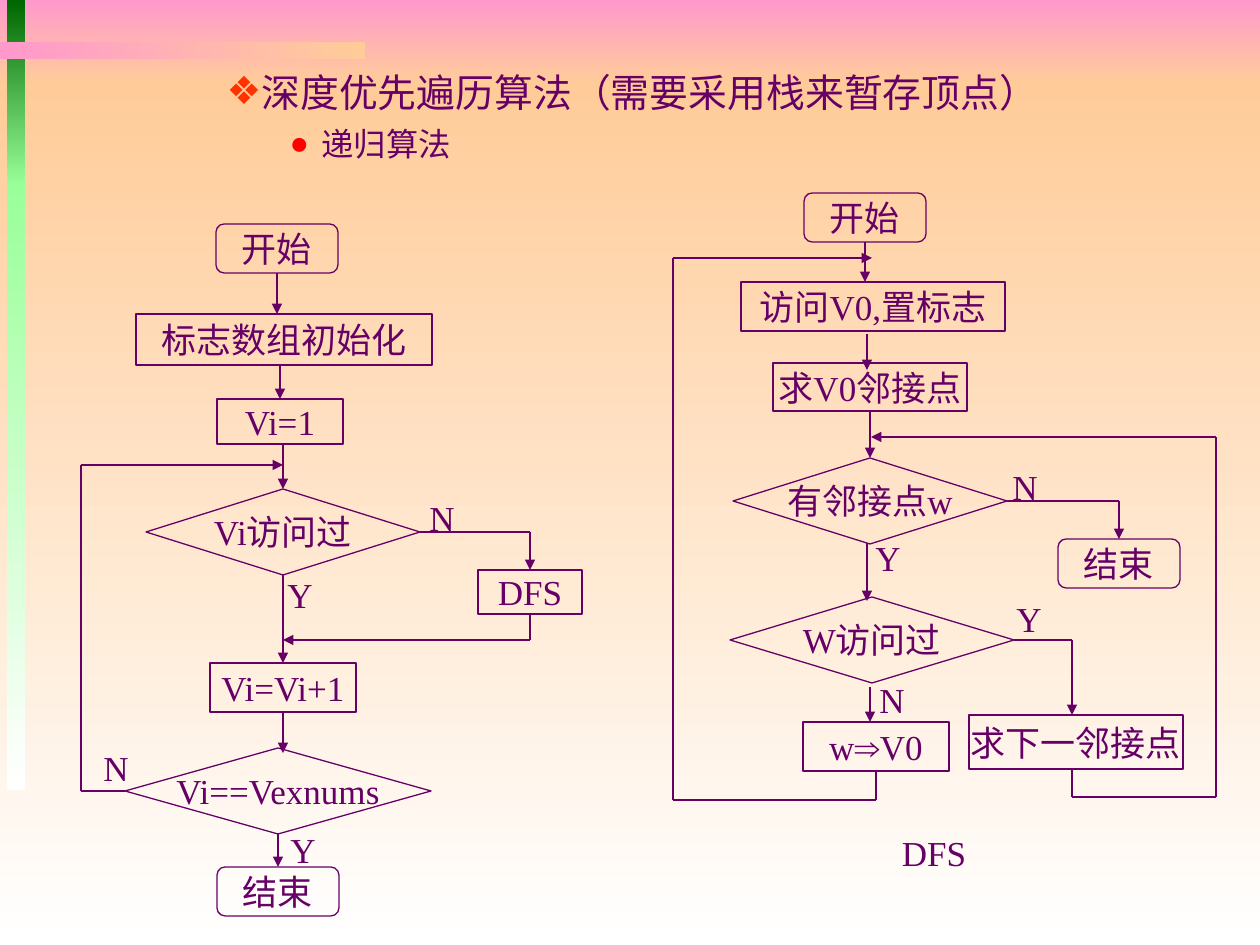
from dataclasses import dataclass
from itertools import pairwise

from pptx import Presentation
from pptx.dml.color import RGBColor
from pptx.enum.shapes import MSO_CONNECTOR, MSO_SHAPE
from pptx.enum.text import MSO_ANCHOR, MSO_AUTO_SIZE, PP_ALIGN
from pptx.oxml.xmlchemy import OxmlElement
from pptx.util import Emu, Pt

STRAIGHT = MSO_CONNECTOR.STRAIGHT
RECTANGLE = MSO_SHAPE.RECTANGLE
TERMINAL = MSO_SHAPE.FLOWCHART_ALTERNATE_PROCESS
PROCESS = MSO_SHAPE.FLOWCHART_PROCESS
DECISION = MSO_SHAPE.FLOWCHART_DECISION
MIDDLE = MSO_ANCHOR.MIDDLE
CENTER, LEFT = PP_ALIGN.CENTER, PP_ALIGN.LEFT
NO_AUTOFIT = MSO_AUTO_SIZE.NONE
GROW_TO_FIT = MSO_AUTO_SIZE.SHAPE_TO_FIT_TEXT

EMU_PER_PX = 914400 / 126
BULLETED_LAYOUT = 1
IMPLIES = "⇒"


@dataclass(frozen=True)
class Theme:
    ink: str = "660066"
    pink: str = "FF99CC"
    peach: str = "FFCC99"
    white: str = "FFFFFF"
    dark_green: str = "006600"
    light_green: str = "99FF99"
    diamond_bullet: str = "FF3300"
    dot_bullet: str = "FF0000"
    heading_font: str = "Arial"
    chart_font: str = "Times New Roman"
    heading_size: float = 22.2
    subheading_size: float = 18.5
    chart_size: float = 20
    line_width: float = 0.75


def px(*lengths):
    return [Emu(round(length * EMU_PER_PX)) for length in lengths]


def write(paragraph, text, *, font, size, color, align=CENTER):
    """Add one formatted run to the paragraph."""
    paragraph.alignment = align
    run = paragraph.add_run()
    run.text = text
    run.font.name = font
    run.font.size = Pt(size)
    run.font.color.rgb = RGBColor.from_string(color)


def set_bullet(paragraph, symbol, color, margin, indent):
    properties = paragraph._p.get_or_add_pPr()
    properties.set("marL", str(px(margin)[0]))
    properties.set("indent", str(px(indent)[0]))
    bullet_color = OxmlElement("a:buClr")
    rgb = OxmlElement("a:srgbClr")
    rgb.set("val", color)
    bullet_color.append(rgb)
    bullet = OxmlElement("a:buChar")
    bullet.set("char", symbol)
    properties.extend([bullet_color, bullet])


class FlowchartSlide:
    def __init__(self, slide, theme):
        self.slide = slide
        self.shapes = slide.shapes
        self.theme = theme
        self.ports = {}

    def band(self, box, first, last, angle=270):
        strip = self.shapes.add_shape(RECTANGLE, *px(*box))
        strip.shadow.inherit = False
        strip.line.fill.background()
        strip.fill.gradient()
        strip.fill.gradient_angle = angle
        for stop, color in zip(strip.fill.gradient_stops, (first, last)):
            stop.color.rgb = RGBColor.from_string(color)

    def outline(self, box, items):
        """Fill the body placeholder and bring it in front of the bands."""
        self.shapes.title.element.getparent().remove(self.shapes.title.element)
        body = self.slide.placeholders[1]
        body.element.getparent().append(body.element)
        body.left, body.top, body.width, body.height = px(*box)
        frame = body.text_frame
        frame.auto_size = NO_AUTOFIT
        for level, (text, size, symbol, color, margin, before) in enumerate(items, 1):
            paragraph = frame.paragraphs[0] if level == 1 else frame.add_paragraph()
            paragraph.level = level
            set_bullet(paragraph, symbol, color, margin, -32)
            paragraph.space_before = Pt(before)
            write(paragraph, text, font=self.theme.heading_font, size=size,
                  color=self.theme.ink, align=LEFT)

    def chart_text(self, frame, text):
        frame.word_wrap = False
        frame.vertical_anchor = MIDDLE
        for part in filter(None, text.partition(IMPLIES)):
            font = self.theme.heading_font if part == IMPLIES else self.theme.chart_font
            write(frame.paragraphs[0], part, font=font,
                  size=self.theme.chart_size, color=self.theme.ink)

    def node(self, kind, text, x, y, w, h):
        """Draw a flowchart step and remember the middles of its sides."""
        step = self.shapes.add_shape(kind, *px(x, y, w, h))
        step.shadow.inherit = False
        step.fill.background()
        step.line.color.rgb = RGBColor.from_string(self.theme.ink)
        step.line.width = Pt(self.theme.line_width)
        self.chart_text(step.text_frame, text)
        sides = [(x + w // 2, y), (x, y + h // 2), (x + w // 2, y + h), (x + w, y + h // 2)]
        self.ports.update({point: (step, site) for site, point in enumerate(sides)})

    def label(self, text, x, y, w=50, h=55):
        frame = self.shapes.add_textbox(*px(x, y, w, h)).text_frame
        frame.auto_size = GROW_TO_FIT
        self.chart_text(frame, text)

    def flow(self, *points):
        """Run straight connectors through the points, with an arrow at the last."""
        for start, end in pairwise(points):
            link = self.shapes.add_connector(STRAIGHT, *px(*start, *end))
            if start in self.ports:
                link.begin_connect(*self.ports[start])
            if end in self.ports:
                link.end_connect(*self.ports[end])
            link.line.color.rgb = RGBColor.from_string(self.theme.ink)
            link.line.width = Pt(self.theme.line_width)
            link.element.spPr.append(OxmlElement("a:effectLst"))
        arrow = OxmlElement("a:tailEnd")
        arrow.set("type", "triangle")
        link.line._get_or_add_ln().append(arrow)


def main():
    presentation = Presentation()
    presentation.slide_width, presentation.slide_height = px(1260, 945)
    theme = Theme()
    layout = presentation.slide_layouts[BULLETED_LAYOUT]
    page = FlowchartSlide(presentation.slides.add_slide(layout), theme)

    page.band((0, 0, 1260, 84), theme.pink, theme.peach)
    page.band((0, 84, 1260, 861), theme.peach, theme.white)
    page.band((7, 0, 18, 186), theme.dark_green, theme.light_green)
    page.band((7, 184, 18, 606), theme.light_green, theme.white)
    page.band((0, 42, 365, 17), theme.pink, theme.peach, angle=0)
    page.outline((88, 62, 1172, 106), [
        ("深度优先遍历算法（需要采用栈来暂存顶点）", theme.heading_size,
         "❖", theme.diamond_bullet, 158, 0),
        ("递归算法", theme.subheading_size, "●", theme.dot_bullet, 221, 5),
    ])

    nodes = [
        # DFS procedure
        (TERMINAL, "开始", 804, 193, 122, 49),
        (PROCESS, "访问V0,置标志", 741, 282, 264, 49),
        (PROCESS, "求V0邻接点", 773, 363, 194, 48),
        (DECISION, "有邻接点w", 733, 458, 274, 86),
        (PROCESS, "求下一邻接点", 969, 715, 214, 54),
        (PROCESS, "w⇒V0", 803, 722, 146, 49),
        (DECISION, "W访问过", 730, 597, 284, 86),
        (TERMINAL, "结束", 1058, 539, 122, 49),
        # Main procedure
        (TERMINAL, "开始", 216, 224, 122, 49),
        (PROCESS, "标志数组初始化", 136, 314, 296, 51),
        (PROCESS, "Vi=1", 217, 399, 126, 45),
        (DECISION, "Vi访问过", 146, 489, 274, 86),
        (PROCESS, "DFS", 478, 570, 104, 44),
        (PROCESS, "Vi=Vi+1", 210, 663, 146, 49),
        (DECISION, "Vi==Vexnums", 125, 748, 306, 86),
        (TERMINAL, "结束", 217, 867, 122, 49),
    ]
    for node in nodes:
        page.node(*node)

    flows = [
        # DFS procedure
        [(865, 242), (865, 282)],
        [(867, 334), (867, 370)],
        [(870, 411), (870, 458)],
        [(867, 543), (867, 601)],
        [(1007, 501), (1119, 501), (1119, 539)],
        [(870, 687), (870, 722)],
        [(876, 771), (876, 800), (673, 800), (673, 258), (872, 258)],
        [(1014, 640), (1072, 640), (1072, 715)],
        [(1072, 769), (1072, 797), (1216, 797), (1216, 437), (871, 437)],
        # Main procedure
        [(277, 273), (277, 314)],
        [(280, 365), (280, 399)],
        [(283, 444), (283, 489)],
        [(283, 575), (283, 663)],
        [(420, 532), (530, 532), (530, 570)],
        [(530, 614), (530, 640), (283, 640)],
        [(283, 712), (283, 753)],
        [(125, 791), (81, 791), (81, 465), (283, 465)],
        [(278, 834), (278, 867)],
    ]
    for points in flows:
        page.flow(*points)

    for label in [("N", 1000, 459), ("Y", 863, 530), ("N", 867, 672), ("Y", 1004, 591),
                  ("DFS", 878, 825, 112), ("N", 417, 490), ("N", 91, 740),
                  ("Y", 275, 567), ("Y", 278, 822)]:
        page.label(*label)

    presentation.save("out.pptx")


if __name__ == "__main__":
    main()
